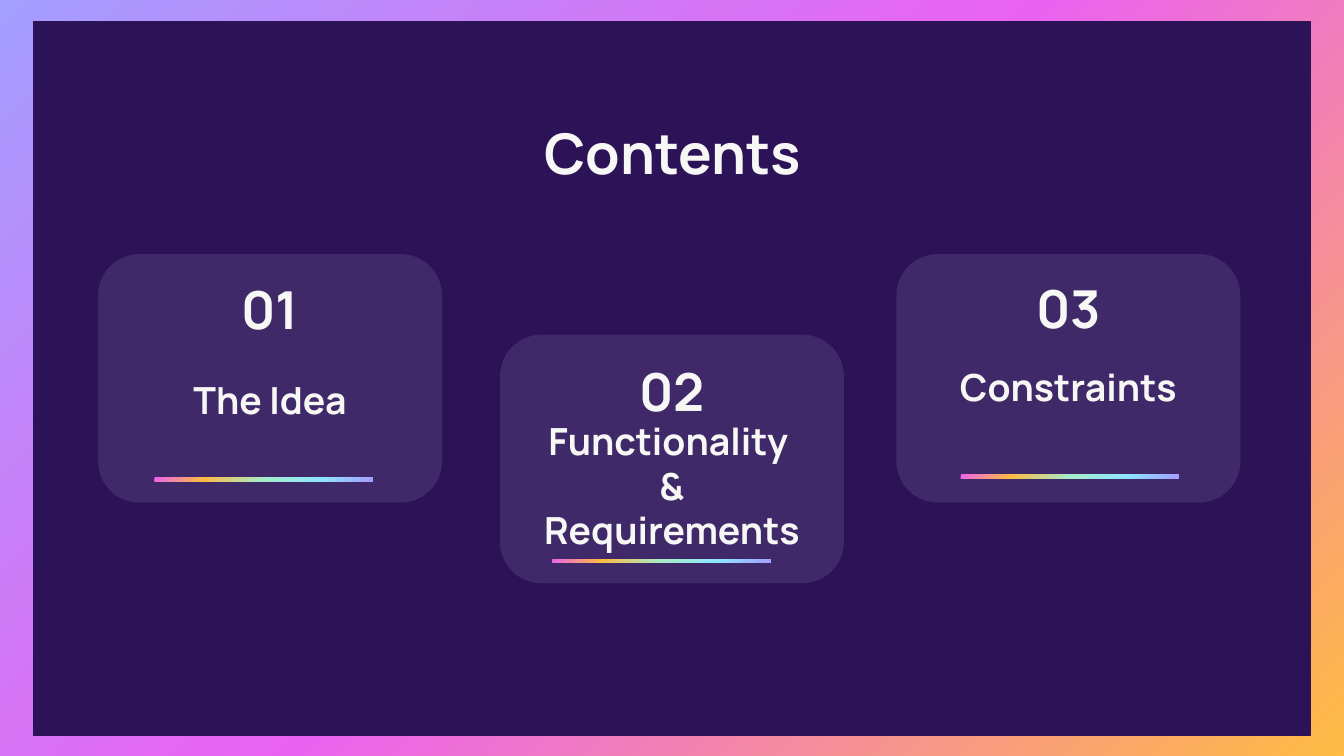
from dataclasses import dataclass

from lxml.etree import SubElement
from pptx import Presentation
from pptx.dml.color import RGBColor
from pptx.enum.shapes import MSO_SHAPE
from pptx.enum.text import MSO_ANCHOR, PP_ALIGN
from pptx.oxml.ns import qn
from pptx.shapes.autoshape import Shape
from pptx.slide import Slide
from pptx.util import Inches, Pt

FONT = "Manrope"
PANEL_COLOR = RGBColor(0x2C, 0x12, 0x56)
CARD_COLOR = RGBColor(0x40, 0x29, 0x68)
TEXT_COLOR = RGBColor(0xF7, 0xF7, 0xF5)
LAVENDER = RGBColor(0xA4, 0x9E, 0xFF)
PINK = RGBColor(0xEB, 0x62, 0xF0)
ORANGE = RGBColor(0xFF, 0xBB, 0x43)
MINT = RGBColor(0xA7, 0xEC, 0xC8)
SKY = RGBColor(0x8E, 0xE6, 0xFF)

BACKGROUND_STOPS = [(0, LAVENDER), (50, PINK), (100, ORANGE)]
BAR_STOPS = [(0, PINK), (23, ORANGE), (50, MINT), (76, SKY), (100, LAVENDER)]

CARD_WIDTH, CARD_HEIGHT = 2.56, 1.85
NUMBER_WIDTH = 1.14


@dataclass
class Card:
    number: str
    label: str
    left: float
    top: float
    number_top: float
    label_top: float
    bar_left: float
    bar_top: float


CARDS = [
    Card("01", "The Idea", 0.73, 1.89, 2.05, 2.77, 1.15, 3.55),
    Card("02", "Functionality \v&\vRequirements", 3.72, 2.49, 2.66, 3.41, 4.11, 4.16),
    Card("03", "Constraints", 6.67, 1.89, 2.04, 2.68, 7.15, 3.53),
]


def set_gradient(owner: Slide | Shape, stops: list[tuple[int, RGBColor]]) -> None:
    """Fill a shape or a slide background with a diagonal gradient."""
    fill = owner.background.fill if isinstance(owner, Slide) else owner.fill
    fill.gradient()
    fill.gradient_angle = 315
    stop_list = next(owner.element.iter(qn("a:gsLst")))
    for old_stop in list(stop_list):
        stop_list.remove(old_stop)
    for percent, color in stops:
        stop = SubElement(stop_list, qn("a:gs"), pos=str(percent * 1000))
        SubElement(stop, qn("a:srgbClr"), val=str(color))


def add_box(slide: Slide, kind: MSO_SHAPE, left: float, top: float,
            width: float, height: float, color: RGBColor | None = None) -> Shape:
    shape = slide.shapes.add_shape(
        kind, Inches(left), Inches(top), Inches(width), Inches(height))
    shape.shadow.inherit = False
    shape.line.fill.background()
    if color is not None:
        shape.fill.solid()
        shape.fill.fore_color.rgb = color
    return shape


def add_text(slide: Slide, text: str, *, left: float, top: float,
             width: float, height: float, size: int) -> None:
    box = slide.shapes.add_textbox(
        Inches(left), Inches(top), Inches(width), Inches(height))
    frame = box.text_frame
    frame.word_wrap = True
    frame.vertical_anchor = MSO_ANCHOR.MIDDLE
    frame.margin_left = frame.margin_right = Inches(0.1)
    frame.margin_top = frame.margin_bottom = Inches(0.1)
    paragraph = frame.paragraphs[0]
    paragraph.text = text
    paragraph.alignment = PP_ALIGN.CENTER
    for run in paragraph.runs:
        run.font.name = FONT
        run.font.size = Pt(size)
        run.font.bold = True
        run.font.color.rgb = TEXT_COLOR


def add_card(slide: Slide, card: Card) -> None:
    add_box(slide, MSO_SHAPE.ROUNDED_RECTANGLE, card.left, card.top,
            CARD_WIDTH, CARD_HEIGHT, CARD_COLOR)
    add_text(slide, card.label, left=card.left, top=card.label_top,
             width=CARD_WIDTH, height=0.4, size=20)
    add_text(slide, card.number, left=card.left + (CARD_WIDTH - NUMBER_WIDTH) / 2,
             top=card.number_top, width=NUMBER_WIDTH, height=0.5, size=28)
    bar = add_box(slide, MSO_SHAPE.RECTANGLE, card.bar_left, card.bar_top, 1.62, 0.03)
    set_gradient(bar, BAR_STOPS)


def main() -> None:
    # Widescreen slide, 16 to 9
    presentation = Presentation()
    presentation.slide_width = Inches(10)
    presentation.slide_height = Inches(10 * 9 / 16)
    slide = presentation.slides.add_slide(presentation.slide_layouts[6])

    # Gradient frame around a dark panel
    set_gradient(slide, BACKGROUND_STOPS)
    panel = add_box(slide, MSO_SHAPE.RECTANGLE, 0.25, 0.16, 9.5, 5.31, PANEL_COLOR)
    panel.line.color.rgb = PANEL_COLOR
    panel.line.width = Pt(0.75)

    # Heading and cards
    add_text(slide, "Contents", left=0.79, top=0.82, width=8.43, height=0.62, size=30)
    for card in CARDS:
        add_card(slide, card)

    presentation.save("out.pptx")


if __name__ == "__main__":
    main()
